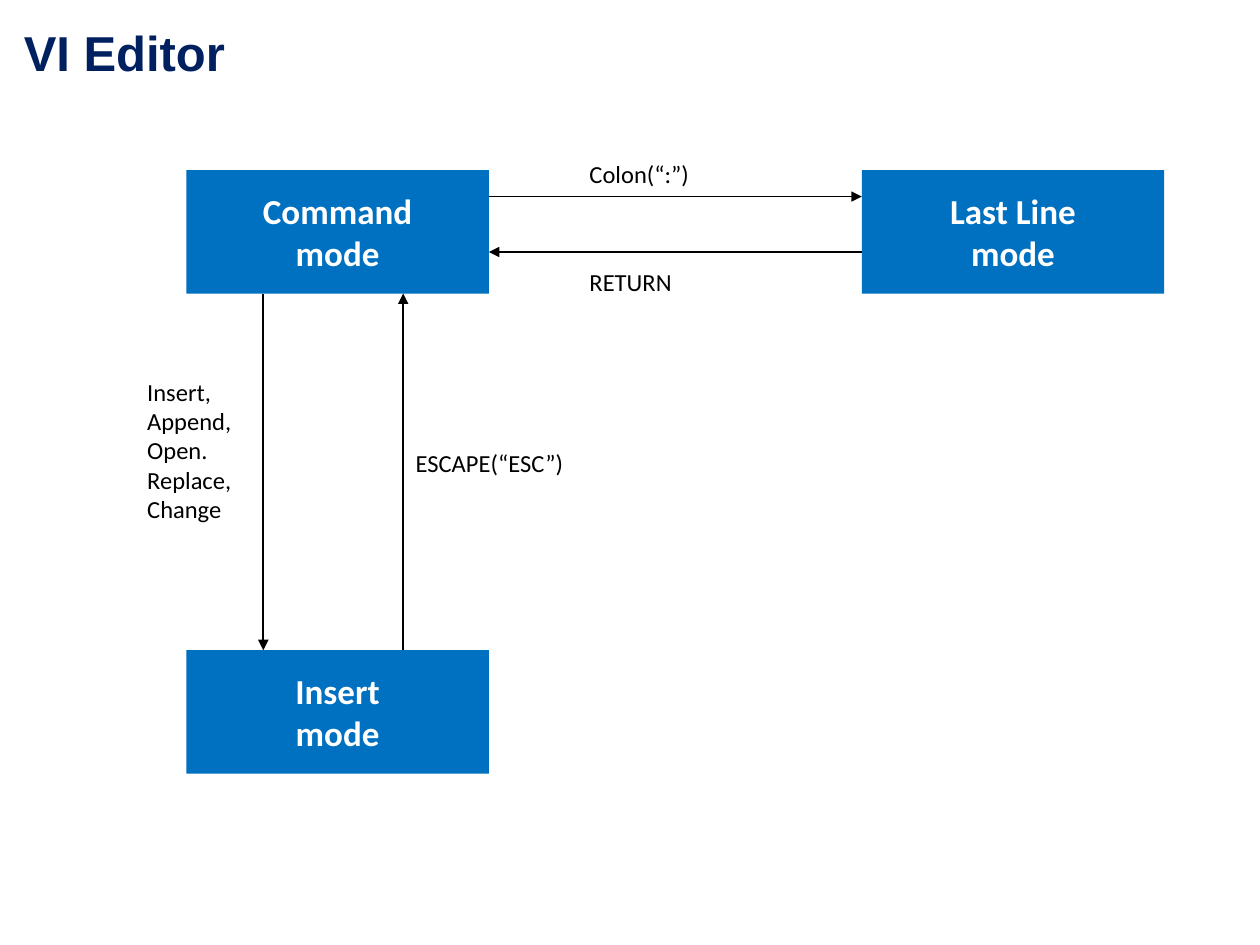
from pptx import Presentation
from pptx.dml.color import RGBColor
from pptx.enum.shapes import MSO_CONNECTOR, MSO_SHAPE
from pptx.enum.text import MSO_ANCHOR, PP_ALIGN
from pptx.oxml.ns import qn
from pptx.util import Inches, Pt
from lxml.etree import SubElement

BOX_WIDTH, BOX_HEIGHT = 2.4, 0.98
LEFT, TOP = 1.48, 1.35
LAST_LINE_LEFT, INSERT_TOP = 6.84, 5.16
RIGHT, BOTTOM = LEFT + BOX_WIDTH, TOP + BOX_HEIGHT

MODES = [
    (["Command", "mode"], LEFT, TOP),
    (["Last Line", "mode"], LAST_LINE_LEFT, TOP),
    (["Insert", "mode"], LEFT, INSERT_TOP),
]
ARROWS = [  # start x, start y, end x, end y
    (2.09, BOTTOM, 2.09, INSERT_TOP),
    (3.2, INSERT_TOP, 3.2, BOTTOM),
    (RIGHT, 1.56, LAST_LINE_LEFT, 1.56),
    (LAST_LINE_LEFT, 2, RIGHT, 2),
]
MODE_FONT = {"name": "Calibri", "size": Pt(20), "bold": True}
LABEL_FONT = {"name": "Calibri", "size": Pt(14)}
TITLE_FONT = {"name": "Arial", "size": Pt(28), "bold": True}
TEXTS = [  # text, (left, top, width, height), font, colour
    ("ESCAPE(“ESC”)", (3.2, 3.51, 1.61, 0.34), LABEL_FONT, "000000"),
    ("Insert, Append, Open. Replace, Change", (1.07, 2.94, 0.94, 1.28), LABEL_FONT, "000000"),
    ("Colon(“:”)", (4.58, 1.21, 1.38, 0.34), LABEL_FONT, "000000"),
    ("RETURN", (4.58, 2.07, 1.38, 0.34), LABEL_FONT, "000000"),
    ("VI Editor", (0.09, 0.13, 7.92, 0.57), TITLE_FONT, "002060"),
]


def color(hex_value):
    return RGBColor.from_string(hex_value)


def style(paragraph, font, hex_value):
    for name, value in font.items():
        setattr(paragraph.font, name, value)
    paragraph.font.color.rgb = color(hex_value)


def add_mode(slide, lines, left, top):
    shape = slide.shapes.add_shape(
        MSO_SHAPE.RECTANGLE, *map(Inches, (left, top, BOX_WIDTH, BOX_HEIGHT)))
    shape.shadow.inherit = False
    shape.fill.solid()
    shape.fill.fore_color.rgb = color("0070C0")
    shape.line.fill.background()
    frame = shape.text_frame
    frame.vertical_anchor = MSO_ANCHOR.MIDDLE
    frame.text = "\n".join(lines)
    for paragraph in frame.paragraphs:
        paragraph.alignment = PP_ALIGN.CENTER
        style(paragraph, MODE_FONT, "FFFFFF")


def add_arrow(slide, points):
    connector = slide.shapes.add_connector(MSO_CONNECTOR.STRAIGHT, *map(Inches, points))
    connector.line.color.rgb = color("000000")
    connector.line.width = Pt(1)
    properties = connector._element.spPr
    SubElement(properties.find(qn("a:ln")), qn("a:tailEnd"), type="triangle")
    SubElement(properties, qn("a:effectLst"))


def add_text(slide, text, place, font, hex_value):
    frame = slide.shapes.add_textbox(*map(Inches, place)).text_frame
    frame.word_wrap = True
    frame.text = text
    style(frame.paragraphs[0], font, hex_value)


def main():
    presentation = Presentation()
    presentation.slide_width, presentation.slide_height = Inches(10), Inches(7.5)
    slide = presentation.slides.add_slide(presentation.slide_layouts[6])
    for mode in MODES:
        add_mode(slide, *mode)
    for points in ARROWS:
        add_arrow(slide, points)
    for text in TEXTS:
        add_text(slide, *text)
    presentation.save("out.pptx")


if __name__ == "__main__":
    main()
